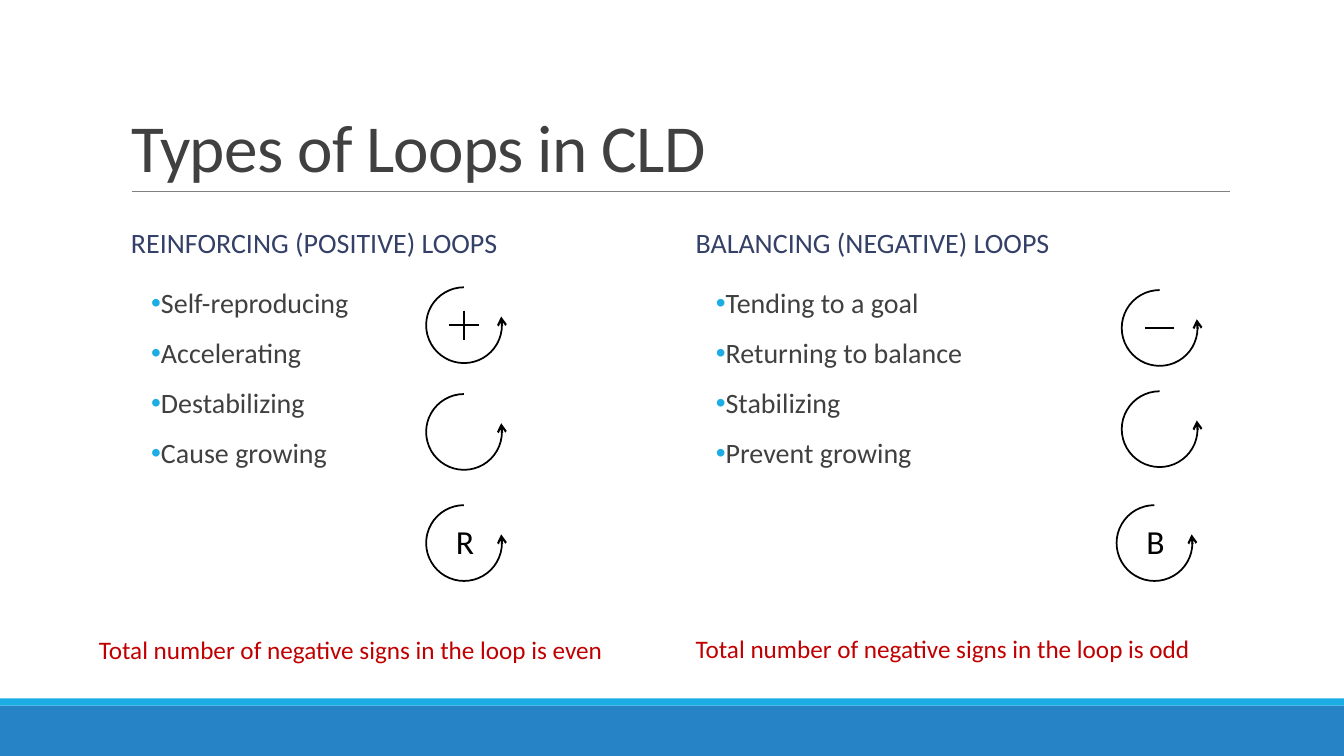
from lxml import etree
from pptx import Presentation
from pptx.dml.color import RGBColor
from pptx.enum.shapes import MSO_CONNECTOR, MSO_SHAPE
from pptx.enum.text import MSO_ANCHOR, MSO_AUTO_SIZE
from pptx.oxml.ns import qn
from pptx.util import Cm, Pt

STRAIGHT = MSO_CONNECTOR.STRAIGHT
RECT, OVAL = MSO_SHAPE.RECTANGLE, MSO_SHAPE.OVAL
TOP, MIDDLE, BOTTOM = MSO_ANCHOR.TOP, MSO_ANCHOR.MIDDLE, MSO_ANCHOR.BOTTOM
GROW = MSO_AUTO_SIZE.SHAPE_TO_FIT_TEXT

WHITE = RGBColor(0xFF, 0xFF, 0xFF)
BLACK = RGBColor(0x00, 0x00, 0x00)
BLUE = RGBColor(0x26, 0x83, 0xC6)
CYAN = RGBColor(0x1C, 0xAD, 0xE4)
GRAY = RGBColor(0x80, 0x80, 0x80)
DARK = RGBColor(0x40, 0x40, 0x40)
NAVY = RGBColor(0x34, 0x40, 0x68)
RED = RGBColor(0xC0, 0x00, 0x00)

FONT = "Calibri"
DOT_FONT = "Arial"
SIZE = 1.91  # loop diameter
MID = SIZE / 2
ARM = 0.37  # half a sign stroke

# Left edge, heading, bullets, note as (left, top, text),
# then each loop as (left, top, mark)
COLUMNS = [
    (3.05, "REINFORCING (POSITIVE) LOOPS",
     ["Self-reproducing", "Accelerating", "Destabilizing", "Cause growing"],
     (2.24, 15.85, "Total number of negative signs in the loop is even"),
     [(10.74, 7.24, "+"), (10.74, 9.93, ""), (10.74, 12.73, "R")]),
    (17.28, "BALANCING (NEGATIVE) LOOPS",
     ["Tending to a goal", "Returning to balance", "Stabilizing",
      "Prevent growing"],
     (17.28, 15.83, "Total number of negative signs in the loop is odd"),
     [(28.27, 7.31, "−"), (28.27, 9.86, ""), (28.14, 12.73, "B")]),
]


def add_block(shapes, kind, left, top, width, height, fill, line=None):
    block = shapes.add_shape(kind, Cm(left), Cm(top), Cm(width), Cm(height))
    block.shadow.inherit = False
    block.fill.solid()
    block.fill.fore_color.rgb = fill
    if line is None:
        block.line.fill.background()
    else:
        block.line.color.rgb = line
        block.line.width = Pt(1.25)


def add_line(shapes, x1, y1, x2, y2, color=BLACK, width=1.5, arrow=False):
    line = shapes.add_connector(STRAIGHT, Cm(x1), Cm(y1), Cm(x2), Cm(y2))
    line.line.color.rgb = color
    line.line.width = Pt(width)
    if arrow:
        ln = line.line._get_or_add_ln()
        etree.SubElement(ln, qn("a:tailEnd"), type="arrow")
    etree.SubElement(line._element.spPr, qn("a:effectLst"))


def add_text(shapes, box, lines, size, color, anchor=TOP, wrap=True,
             spacing=None):
    """Add a text box and return its frame."""
    frame = shapes.add_textbox(*map(Cm, box)).text_frame
    frame.word_wrap = wrap
    if not wrap:
        frame.auto_size = GROW
    frame.vertical_anchor = anchor
    frame.text = "\n".join(lines)
    for para in frame.paragraphs:
        para.font.name = FONT
        para.font.size = Pt(size)
        para.font.color.rgb = color
        if spacing:
            para.line_spacing = spacing
    return frame


def add_title(shapes):
    frame = add_text(shapes, (3.06, 0.79, 27.94, 4.04),
                     ["Types of Loops in CLD"], 48, DARK, BOTTOM, spacing=0.85)
    frame.paragraphs[0].runs[0]._r.get_or_add_rPr().set("spc", "-50")


def add_bullets(shapes, left, items):
    frame = shapes.add_textbox(Cm(left), Cm(7.17), Cm(13.72),
                               Cm(9.12)).text_frame
    frame.word_wrap = True
    frame.margin_left = frame.margin_right = 0
    frame.text = "\n".join(items)
    for rank, para in enumerate(frame.paragraphs):
        props = para._p.get_or_add_pPr()
        props.set("marL", str(Cm(0.25)))
        props.set("indent", str(Cm(0.51)))
        tint = etree.SubElement(props, qn("a:buClr"))
        etree.SubElement(tint, qn("a:srgbClr"), val=str(CYAN))
        etree.SubElement(props, qn("a:buFont"), typeface=DOT_FONT)
        etree.SubElement(props, qn("a:buChar"), char="•")
        para.line_spacing = 0.9
        para.space_after = Pt(2)
        if rank:
            para.space_before = Pt(12)
        para.font.name = FONT
        para.font.size = Pt(20)
        para.font.color.rgb = DARK


def add_loop(slide, left, top, mark):
    """Draw a three-quarter circle with an arrow and a sign or letter."""
    shapes = slide.shapes.add_group_shape().shapes
    x, y = left + MID, top + MID
    add_block(shapes, OVAL, left, top, SIZE, SIZE, WHITE, BLACK)
    add_block(shapes, RECT, x, top - 0.08, 1.22, 1.02, WHITE)
    add_line(shapes, left + SIZE, y, left + SIZE - 0.02, y - 0.22, arrow=True)
    if mark == "+":
        add_line(shapes, x, y - ARM, x, y + ARM)
    if mark in ("+", "−"):
        add_line(shapes, x - ARM, y, x + ARM, y)
    elif mark:
        add_text(shapes, (left + 0.5, top + 0.28, 0.97, 1.27), [mark], 24,
                 BLACK, wrap=False)


def main():
    deck = Presentation()
    deck.slide_width, deck.slide_height = Cm(33.87), Cm(19.05)
    slide = deck.slides.add_slide(deck.slide_layouts[6])
    shapes = slide.shapes
    add_block(shapes, RECT, 0, 17.78, 33.87, 1.27, BLUE)
    add_block(shapes, RECT, 0, 17.6, 33.87, 0.18, CYAN)
    add_line(shapes, 3.32, 4.83, 31, 4.83, GRAY, 0.5)
    add_title(shapes)
    for left, head, items, (edge, top, note), loops in COLUMNS:
        add_text(shapes, (left, 5.13, 13.72, 2.06), [head], 20, NAVY, MIDDLE,
                 spacing=0.9)
        add_bullets(shapes, left, items)
        add_text(shapes, (edge, top, 13.3, 1.02), [note], 18, RED, wrap=False)
        for loop in loops:
            add_loop(slide, *loop)
    deck.save("out.pptx")


if __name__ == "__main__":
    main()
